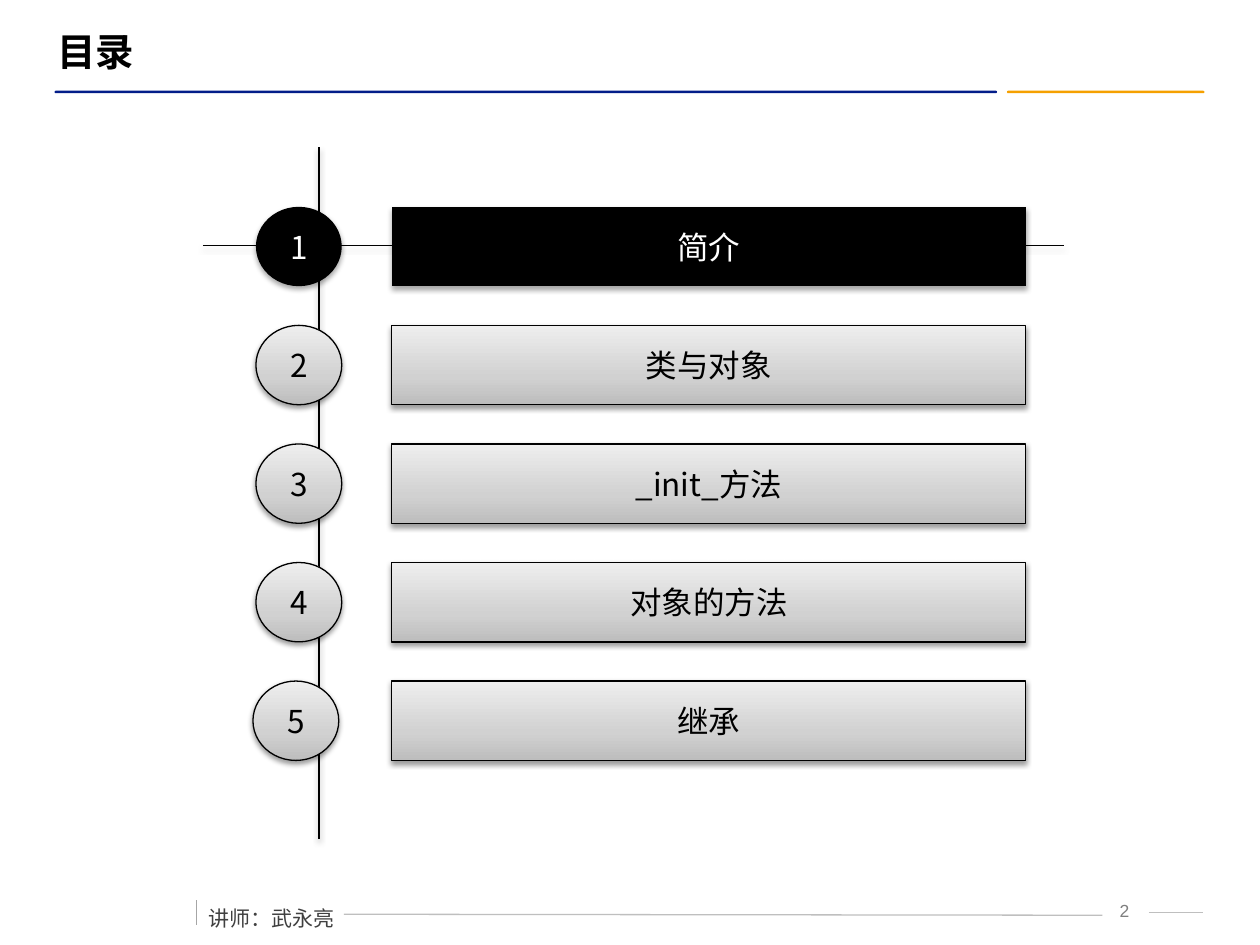
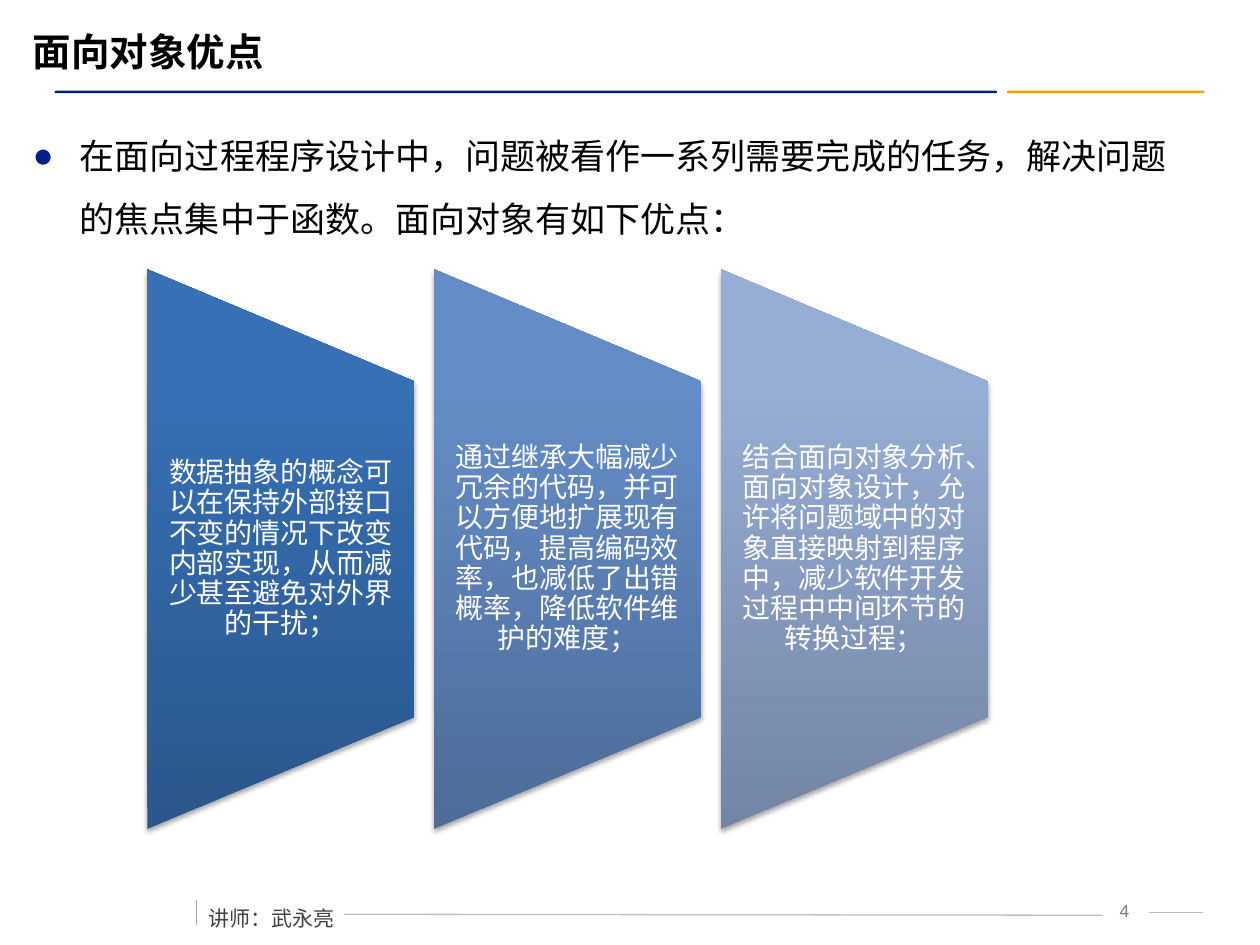
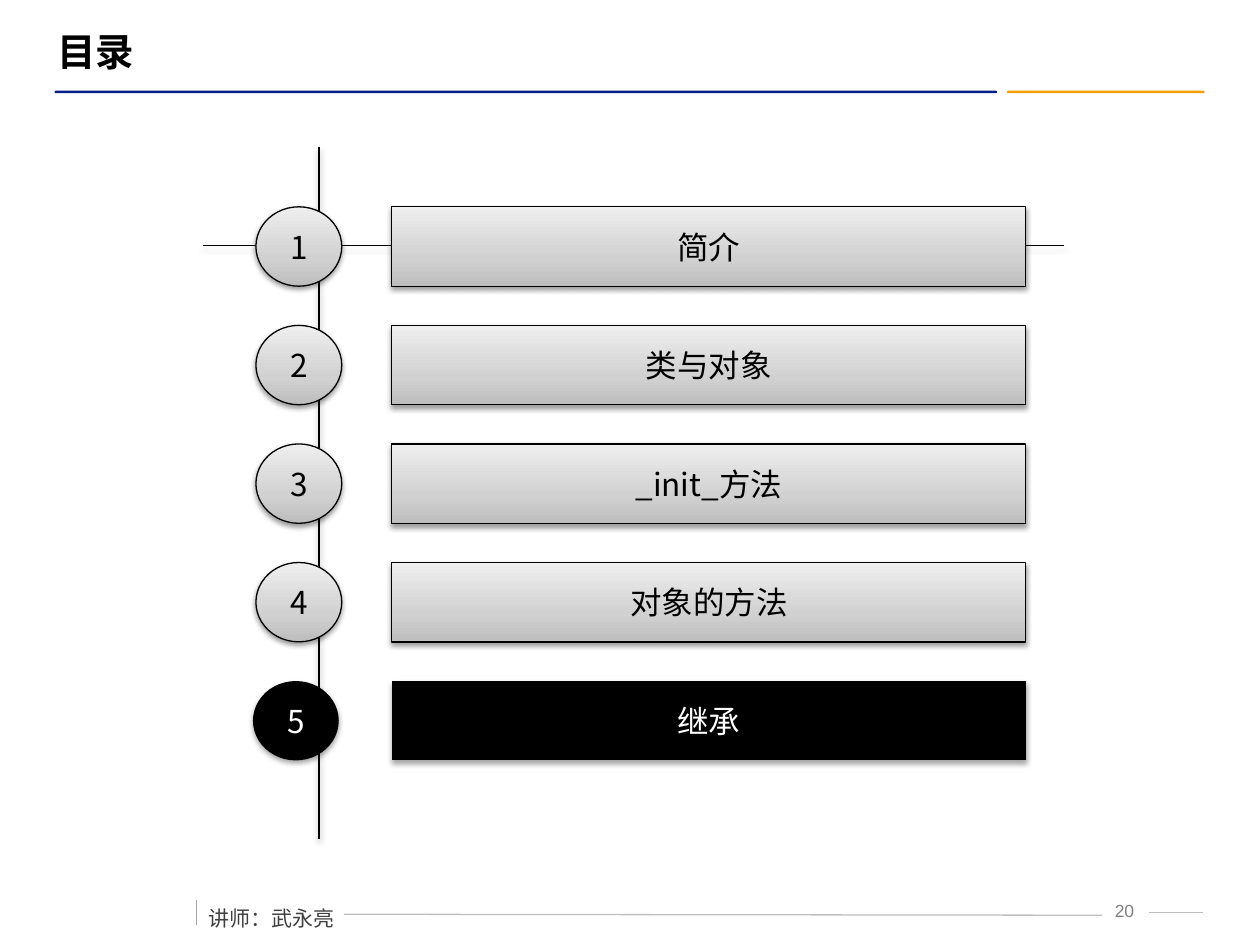
from dataclasses import dataclass

from lxml import etree
from pptx import Presentation
from pptx import util as u
from pptx.dml import color
from pptx.enum import shapes, text
from pptx.oxml import ns

COLOURS = {
    "black": "000000",
    "white": "FFFFFF",
    "navy": "031D89",
    "bullet": "032089",
    "orange": "F5A000",
    "number": "7F7F7F",
    "lecturer": "404040",
    "rule": "BFBFBF",
    "tick": "A6A6A6",
}
GREY_STOPS = [(0, "BDBDBD"), (35, "D1D1D1"), (100, "EEEEEE")]
LATIN_FONT = "Arial"
CHINESE_FONT = "Noto Sans CJK SC"
SOFT_SHADOW = {"distance": 1.6, "opacity": 38}
FIRM_SHADOW = {"distance": 1.8, "opacity": 35}

TOPICS = ["简介", "类与对象", "_init_方法", "对象的方法", "继承"]
INTRODUCTION = "在面向过程程序设计中，问题被看作一系列需要完成的任务，解决问题的焦点集中于函数。面向对象有如下优点："
ADVANTAGES = [
    ("数据抽象的概念可以在保持外部接口不变的情况下改变内部实现，从而减少甚至避免对外界的干扰；",
     [(0, "2A568B"), (80, "3770B5"), (100, "3570B8")]),
    ("通过继承大幅减少冗余的代码，并可以方便地扩展现有代码，提高编码效率，也减低了出错概率，降低软件维护的难度；",
     [(0, "4D6C99"), (80, "648DC7"), (100, "638DCA")]),
    ("结合面向对象分析、面向对象设计，允许将问题域中的对象直接映射到程序中，减少软件开发过程中中间环节的转换过程；",
     [(0, "7385A4"), (80, "96ADD5"), (100, "95ADD7")]),
]


@dataclass
class Box:
    left: float
    top: float
    width: float
    height: float

    def lengths(self):
        return [u.Cm(value) for value in (self.left, self.top, self.width, self.height)]


def rgb(name):
    return color.RGBColor.from_string(COLOURS[name])


def add_element(parent, tag, **attributes):
    return etree.SubElement(parent, ns.qn(tag), attributes)


def add_shadow(effects, distance, opacity):
    shadow = add_element(effects, "a:outerShdw", blurRad=str(u.Pt(3.1)),
                         dist=str(u.Pt(distance)), dir="5400000", rotWithShape="0")
    tint = add_element(shadow, "a:srgbClr", val=COLOURS["black"])
    add_element(tint, "a:alpha", val=str(opacity * 1000))


def fill_gradient(shape, stops):
    shape.fill.gradient()
    shape.fill.gradient_angle = 90
    gradient = shape._element.spPr.find(ns.qn("a:gradFill"))
    gradient.set("rotWithShape", "0")
    stop_list = gradient.find(ns.qn("a:gsLst"))
    for stop in list(stop_list):
        stop_list.remove(stop)
    for position, shade in stops:
        stop = add_element(stop_list, "a:gs", pos=str(position * 1000))
        add_element(stop, "a:srgbClr", val=shade)


def add_figure(page, kind, box, fill=None, stops=None, outline=None, shadow=None):
    figure = page.shapes.add_shape(kind, *box.lengths())
    figure.shadow.inherit = False
    if stops:
        fill_gradient(figure, stops)
    else:
        figure.fill.solid()
        figure.fill.fore_color.rgb = rgb(fill)
    if outline:
        figure.line.color.rgb = rgb(outline)
        figure.line.width = u.Pt(0.75)
    else:
        figure.line.fill.background()
    if shadow:
        add_shadow(figure._element.spPr.find(ns.qn("a:effectLst")), **shadow)
    return figure


def add_line(page, start, end, colour, shadow=None):
    ends = [u.Cm(value) for value in (*start, *end)]
    line = page.shapes.add_connector(shapes.MSO_CONNECTOR.STRAIGHT, *ends)
    line.line.color.rgb = rgb(colour)
    line.line.width = u.Pt(0.75)
    effects = add_element(line._element.spPr, "a:effectLst")
    if shadow:
        add_shadow(effects, **shadow)


def write(shape, words, size, colour="black", font=CHINESE_FONT, bold=False,
          align=text.PP_ALIGN.LEFT, anchor=text.MSO_ANCHOR.TOP, wrap=True,
          fit=text.MSO_AUTO_SIZE.NONE, spacing=None, before=0, after=0, insets=None):
    frame = shape.text_frame
    frame.word_wrap = wrap
    frame.auto_size = fit
    frame.vertical_anchor = anchor
    if insets:
        frame.margin_left = frame.margin_right = u.Cm(insets[0])
        frame.margin_top = frame.margin_bottom = u.Cm(insets[1])
    para = frame.paragraphs[0]
    para.alignment = align
    para.line_spacing = spacing
    para.space_before = u.Pt(before)
    para.space_after = u.Pt(after)
    span = para.add_run()
    span.text = words
    span.font.name = font
    span.font.size = u.Pt(size)
    span.font.bold = bold
    span.font.color.rgb = rgb(colour)
    add_element(span.font._element, "a:ea", typeface=CHINESE_FONT)
    return para


def add_words(page, box, words, size, **formats):
    return write(page.shapes.add_textbox(*box.lengths()), words, size, **formats)


def add_bullet(para, indent):
    properties = para._element.get_or_add_pPr()
    properties.set("marL", str(u.Cm(indent)))
    properties.set("indent", str(-u.Cm(indent)))
    tint = add_element(properties, "a:buClr")
    add_element(tint, "a:srgbClr", val=COLOURS["bullet"])
    add_element(properties, "a:buFont", typeface=LATIN_FONT)
    add_element(properties, "a:buChar", char="●")


def add_header(page, title, box):
    holder = page.shapes.title
    holder.left, holder.top, holder.width, holder.height = box.lengths()
    write(holder, title, 22, font=LATIN_FONT, bold=True, anchor=text.MSO_ANCHOR.MIDDLE)
    for left, width, colour in [(20.3, 3.98, "orange"), (1.1, 19, "navy")]:
        bar = add_figure(page, shapes.MSO_SHAPE.ROUNDED_RECTANGLE,
                         Box(left, 1.83, width, 0.05), fill=colour)
        bar.adjustments[0] = 0.5


def add_footer(page, number, box):
    middle = box.top + 0.55
    add_words(page, Box(box.left + 18.06, box.top + 0.13, 1.2, 0.64), f" {number}", 10,
              colour="number", font=LATIN_FONT, align=text.PP_ALIGN.CENTER)
    add_line(page, (box.left + 2.97, middle), (box.left + 18.26, middle + 0.02), "rule")
    add_line(page, (box.left + 19.2, middle - 0.03),
             (box.left + box.width, middle - 0.03), "rule")
    add_line(page, (box.left, box.top + 0.27), (box.left, box.top + 0.77), "tick")
    add_words(page, Box(box.left, box.top, 3.07, box.height), "讲师：武永亮", 12,
              colour="lecturer", wrap=False, spacing=1.5, before=6,
              fit=text.MSO_AUTO_SIZE.SHAPE_TO_FIT_TEXT)


def add_page(deck, title, number, title_left):
    page = deck.slides.add_slide(deck.slide_layouts[5])
    add_header(page, title, Box(title_left, 0.43, 23.5 - title_left, 1.2))
    add_footer(page, number, Box(3.96, 17.88, 20.3, 0.92))
    return page


def add_topic(page, number, topic, box, circle_left, active):
    if active:
        style, ink = {"fill": "black", "shadow": FIRM_SHADOW}, "white"
    else:
        style, ink = {"stops": GREY_STOPS, "outline": "black", "shadow": SOFT_SHADOW}, "black"
    circle = Box(circle_left, box.top, 1.73, box.height)
    banner = Box(box.left + 2.74, box.top, box.width - 2.74, box.height)
    for kind, part, words in [
        (shapes.MSO_SHAPE.OVAL, circle, str(number)),
        (shapes.MSO_SHAPE.ACTION_BUTTON_CUSTOM, banner, topic),
    ]:
        figure = add_figure(page, kind, part, **style)
        write(figure, words, 18, colour=ink, wrap=False,
              align=text.PP_ALIGN.CENTER, anchor=text.MSO_ANCHOR.MIDDLE)


def add_agenda(page, box, active):
    pitch, height = 2.39, 1.6
    axis_left, axis_top = box.left + 2.34, box.top + 1.98
    add_line(page, (axis_left, box.top), (axis_left, box.top + box.height),
             "black", SOFT_SHADOW)
    add_line(page, (box.left, axis_top), (box.left + box.width, axis_top),
             "black", SOFT_SHADOW)
    for index, topic in enumerate(TOPICS):
        row = Box(box.left + 1.07, box.top + 1.2 + index * pitch, 15.52, height)
        circle_left = row.left - (0.06 if index == len(TOPICS) - 1 else 0)
        add_topic(page, index + 1, topic, row, circle_left, index + 1 == active)


def add_panel(page, words, stops, box):
    middle = box.left + box.width / 2
    centre = box.top + box.height / 2
    turned = Box(middle - box.height / 2, centre - box.width / 2, box.height, box.width)
    panel = add_figure(page, shapes.MSO_SHAPE.FLOWCHART_MANUAL_OPERATION, turned,
                       stops=stops, shadow=FIRM_SHADOW)
    panel.rotation = 270
    inner = Box(box.left, box.top + box.height * 0.2, box.width, box.height * 0.6)
    add_words(page, inner, words, 16, colour="white", align=text.PP_ALIGN.CENTER,
              anchor=text.MSO_ANCHOR.MIDDLE, spacing=0.9, after=5.6, insets=(0.28, 0))


def add_advantages(page, box):
    gap = 0.4
    width = (box.width - gap * (len(ADVANTAGES) - 1)) / len(ADVANTAGES)
    for index, (words, stops) in enumerate(ADVANTAGES):
        left = box.left + index * (width + gap)
        add_panel(page, words, stops, Box(left, box.top, width, box.height))


def build_agenda_page(deck, number, active):
    page = add_page(deck, "目录", number, 0.9)
    add_agenda(page, Box(4.09, 2.97, 17.35, 13.95), active)


def build_advantages_page(deck, number):
    page = add_page(deck, "面向对象优点", number, 0.41)
    para = add_words(page, Box(0.41, 2.16, 23.85, 3.58), INTRODUCTION, 20,
                     spacing=1.5, before=4)
    add_bullet(para, 0.95)
    add_advantages(page, Box(2.97, 5.43, 16.94, 11.28))


def main():
    deck = Presentation()
    deck.slide_width, deck.slide_height = u.Cm(25.4), u.Cm(19.05)
    build_agenda_page(deck, 2, active=1)
    build_advantages_page(deck, 4)
    build_agenda_page(deck, 20, active=5)
    deck.save("out.pptx")


if __name__ == "__main__":
    main()
